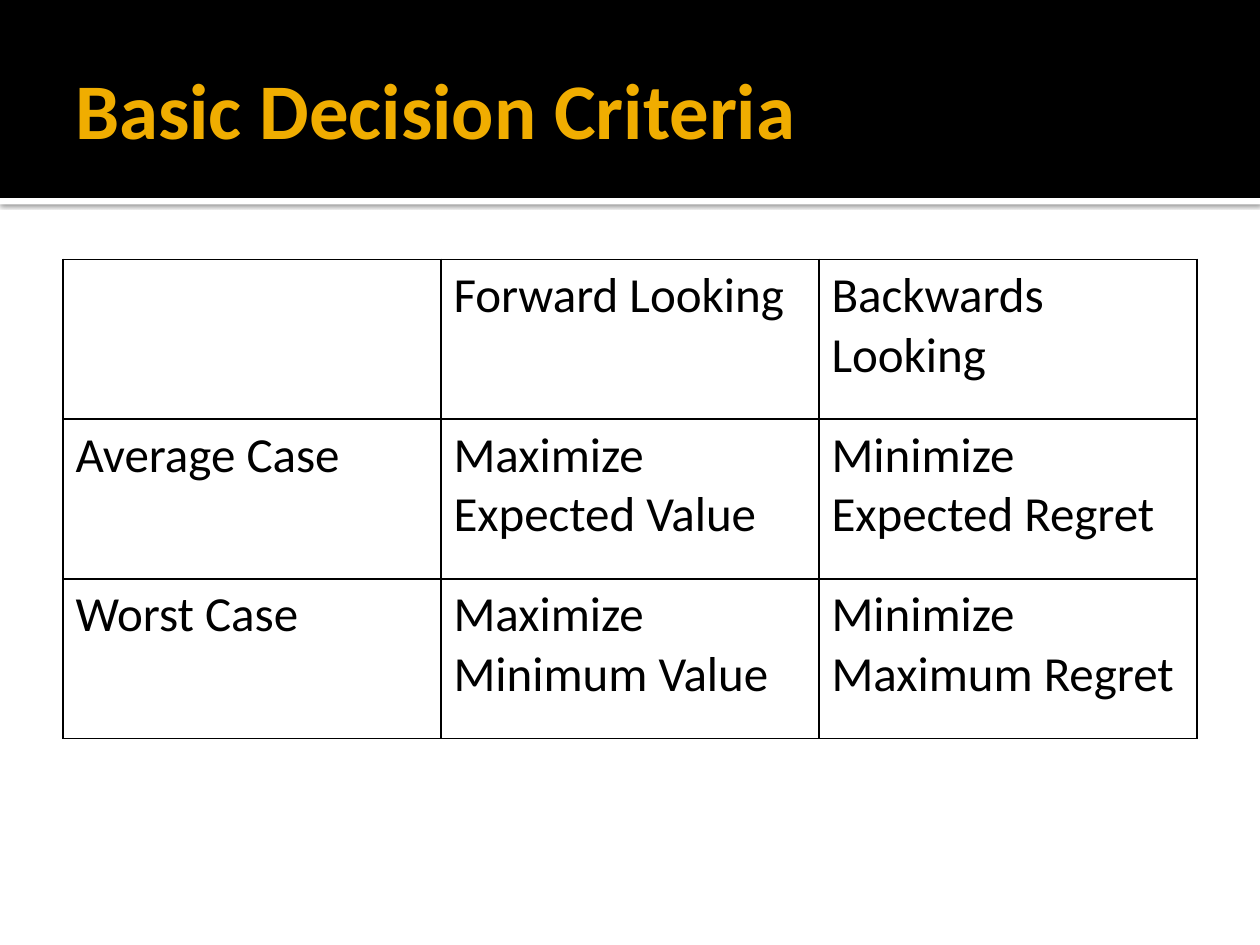
import dataclasses

import lxml.etree
import pptx
import pptx.dml.color
import pptx.enum.shapes
import pptx.enum.text
import pptx.oxml
import pptx.oxml.ns
import pptx.util

Cm = pptx.util.Cm
Pt = pptx.util.Pt
RGB = pptx.dml.color.RGBColor.from_string


@dataclasses.dataclass(frozen=True)
class Theme:
    font: str = "Calibri"
    ink: str = "000000"
    paper: str = "FFFFFF"
    accent: str = "F0AD00"
    title_size: int = 45
    table_size: int = 28
    border: int = 1


theme = Theme()


def add_band(top, height, color):
    band = slide.shapes.add_shape(
        pptx.enum.shapes.MSO_SHAPE.RECTANGLE, 0, Cm(top), deck.slide_width, Cm(height)
    )
    band.shadow.inherit = False
    band.fill.solid()
    band.fill.fore_color.rgb = RGB(color)
    band.line.fill.background()
    return band


def style_font(font, size, color):
    font.name = theme.font
    font.size = Pt(size)
    font.color.rgb = RGB(color)


deck = pptx.Presentation()
deck.slide_width = Cm(25.4)
deck.slide_height = Cm(19.05)
slide = deck.slides.add_slide(deck.slide_layouts[6])
slide.background.fill.solid()
slide.background.fill.fore_color.rgb = RGB(theme.paper)

divider = add_band(3.99, 0.13, theme.paper)
effects = divider.element.spPr.find(pptx.oxml.ns.qn("a:effectLst"))
effects.append(pptx.oxml.parse_xml(
    f'<a:outerShdw {pptx.oxml.ns.nsdecls("a")} blurRad="{Pt(2.5)}" dist="{Pt(0.8)}" '
    f'dir="5400000" algn="t" rotWithShape="0"><a:srgbClr val="{theme.ink}">'
    '<a:alpha val="60000"/></a:srgbClr></a:outerShdw>'
))
add_band(0, 3.99, theme.ink)

title = slide.shapes.add_textbox(Cm(1.27), Cm(0.43), Cm(22.86), Cm(3.48)).text_frame
title.word_wrap = True
title.vertical_anchor = pptx.enum.text.MSO_ANCHOR.MIDDLE
title.margin_left = Cm(0.25)
title.margin_right = title.margin_top = title.margin_bottom = Cm(0.13)
title.text = "Basic Decision Criteria"
title_font = title.paragraphs[0].runs[0].font
style_font(title_font, theme.title_size, theme.accent)
title_font.bold = True

criteria = [
    ["", "Forward Looking", "Backwards Looking"],
    ["Average Case", "Maximize Expected Value", "Minimize Expected Regret"],
    ["Worst Case", "Maximize Minimum Value", "Minimize Maximum Regret"],
]
table = slide.shapes.add_table(
    len(criteria), len(criteria[0]), Cm(1.27), Cm(5.23), Cm(22.86), Cm(9.66)
).table
table.first_row = False
table.horz_banding = False

for row, wordings in enumerate(criteria):
    for column, wording in enumerate(wordings):
        cell = table.cell(row, column)
        cell.text = wording
        style_font(cell.text_frame.paragraphs[0].font, theme.table_size, theme.ink)
        for run in cell.text_frame.paragraphs[0].runs:
            style_font(run.font, theme.table_size, theme.ink)
        properties = cell._tc.get_or_add_tcPr()
        for side in ("lnL", "lnR", "lnT", "lnB"):
            border = lxml.etree.SubElement(
                properties, pptx.oxml.ns.qn(f"a:{side}"), w=str(Pt(theme.border))
            )
            stroke = lxml.etree.SubElement(border, pptx.oxml.ns.qn("a:solidFill"))
            lxml.etree.SubElement(stroke, pptx.oxml.ns.qn("a:srgbClr"), val=theme.ink)
        cell.fill.background()

deck.save("out.pptx")
